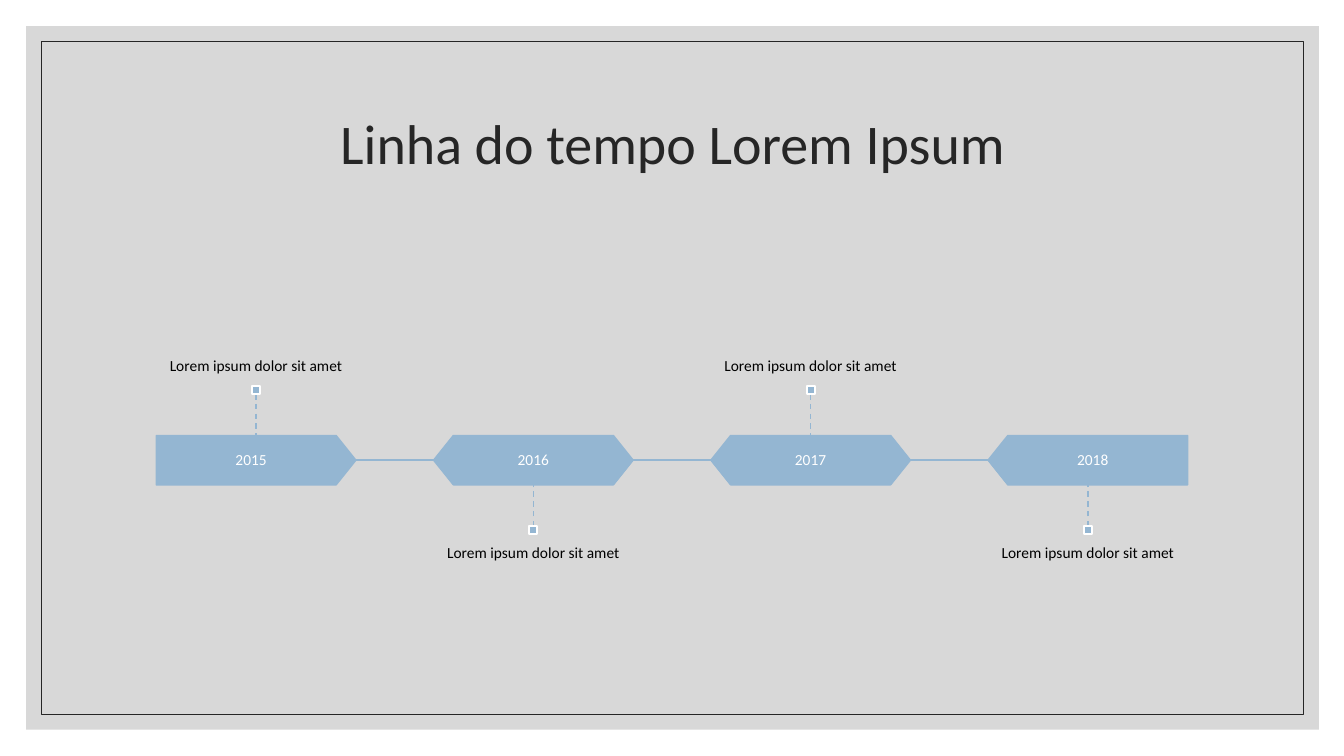
import lxml.etree
import pptx
import pptx.util
import pptx.dml.color
import pptx.enum.dml
import pptx.enum.shapes
import pptx.enum.text
import pptx.oxml.ns

Inches = pptx.util.Inches
Pt = pptx.util.Pt
SHAPE = pptx.enum.shapes.MSO_SHAPE
ANCHOR = pptx.enum.text.MSO_ANCHOR

COLORS = {"blue": "94B6D2", "gray": "BFBFBF", "dark": "262626",
          "white": "FFFFFF", "black": "000000"}
YEARS = ["2015", "2016", "2017", "2018"]
LABEL = "Lorem ipsum dolor sit amet"
LEFT, TOP, WIDTH, HEIGHT, STEP = 1.55, 4.32, 1.98, 0.49, 2.75
MIDDLE = TOP + HEIGHT / 2
STEM, DOT = 0.41, 0.08


def color(name):
    return pptx.dml.color.RGBColor.from_string(COLORS[name])


def add_xml(parent, tag, **attrs):
    lxml.etree.SubElement(parent, pptx.oxml.ns.qn(tag), attrs)


def write(shape, text, size=11, ink="black", anchor=ANCHOR.MIDDLE, pad=(0.09, 0.09)):
    frame = shape.text_frame
    frame.word_wrap = True
    frame.auto_size = pptx.enum.text.MSO_AUTO_SIZE.NONE
    frame.vertical_anchor = anchor
    frame.margin_left = frame.margin_right = Inches(pad[0])
    frame.margin_top = frame.margin_bottom = Inches(pad[1])
    para = frame.paragraphs[0]
    para.alignment = pptx.enum.text.PP_ALIGN.CENTER
    para.line_spacing = 0.9
    run = para.add_run()
    run.text = text
    run.font.name = "Calibri"
    run.font.size = Pt(size)
    run.font.color.rgb = color(ink)


def add_box(slide, kind, box, fill=None, line=None, weight=1):
    shape = slide.shapes.add_shape(kind, *map(Inches, box))
    shape.shadow.inherit = False
    if fill:
        shape.fill.solid()
        shape.fill.fore_color.rgb = color(fill)
    else:
        shape.fill.background()
    if line:
        shape.line.color.rgb = color(line)
        shape.line.width = Pt(weight)
    else:
        shape.line.fill.background()
    return shape


def add_line(slide, start, end, dashed=False):
    line = slide.shapes.add_connector(
        pptx.enum.shapes.MSO_CONNECTOR.STRAIGHT, *map(Inches, start + end))
    line.line.color.rgb = color("blue")
    line.line.width = Pt(1)
    if dashed:
        line.line.dash_style = pptx.enum.dml.MSO_LINE.DASH
    add_xml(line._element.spPr, "a:effectLst")


def add_frame(slide):
    panel = add_box(slide, SHAPE.RECTANGLE, (0.26, 0.26, 12.82, 6.98), fill="gray")
    tint = panel._element.spPr.find(".//" + pptx.oxml.ns.qn("a:srgbClr"))
    add_xml(tint, "a:alpha", val="60000")
    add_box(slide, SHAPE.RECTANGLE, (0.41, 0.41, 12.52, 6.68), line="dark", weight=0.5)


def add_title(slide, text):
    title = slide.shapes.title
    title.left, title.top = Inches(1.17), Inches(0.7)
    title.width, title.height = Inches(11), Inches(1.5)
    write(title, text, size=40, ink="dark", pad=(0.1, 0.05))


def add_year(slide, index, year):
    left = LEFT + index * STEP
    last = index == len(YEARS) - 1
    kind = SHAPE.PENTAGON if index == 0 or last else SHAPE.HEXAGON
    block = add_box(slide, kind, (left, TOP, WIDTH, HEIGHT), "blue", "blue")
    block.adjustments[0] = 0.4
    if last:
        block._element.spPr.xfrm.set("flipH", "1")
    else:
        add_line(slide, (left + WIDTH, MIDDLE), (left + STEP, MIDDLE))
    write(block, year, ink="white")


def add_note(slide, index, text):
    center = LEFT + WIDTH / 2 + index * STEP
    above = index % 2 == 0
    if above:
        edge, tip = TOP, TOP - STEM
        dot, top, anchor = tip - DOT, 2.53, ANCHOR.BOTTOM
    else:
        edge, tip = TOP + HEIGHT, TOP + HEIGHT + STEM
        dot, top, anchor = tip, 5.3, ANCHOR.TOP
    add_line(slide, (center, tip), (center, edge), dashed=True)
    add_box(slide, SHAPE.RECTANGLE, (center - DOT / 2, dot, DOT, DOT),
            "blue", "white", 1.5)
    label = slide.shapes.add_textbox(
        *map(Inches, (center - STEP / 2, top, STEP, 1.3)))
    write(label, text, anchor=anchor, pad=(0, 0.11))


def main():
    deck = pptx.Presentation()
    deck.slide_width, deck.slide_height = Inches(13.33), Inches(7.5)
    slide = deck.slides.add_slide(deck.slide_layouts[5])
    slide.background.fill.solid()
    slide.background.fill.fore_color.rgb = color("white")
    add_frame(slide)
    title = slide.shapes.title._element
    title.getparent().append(title)
    add_title(slide, "Linha do tempo Lorem Ipsum")
    for index, year in enumerate(YEARS):
        add_year(slide, index, year)
        add_note(slide, index, LABEL)
    deck.save("out.pptx")


if __name__ == "__main__":
    main()
